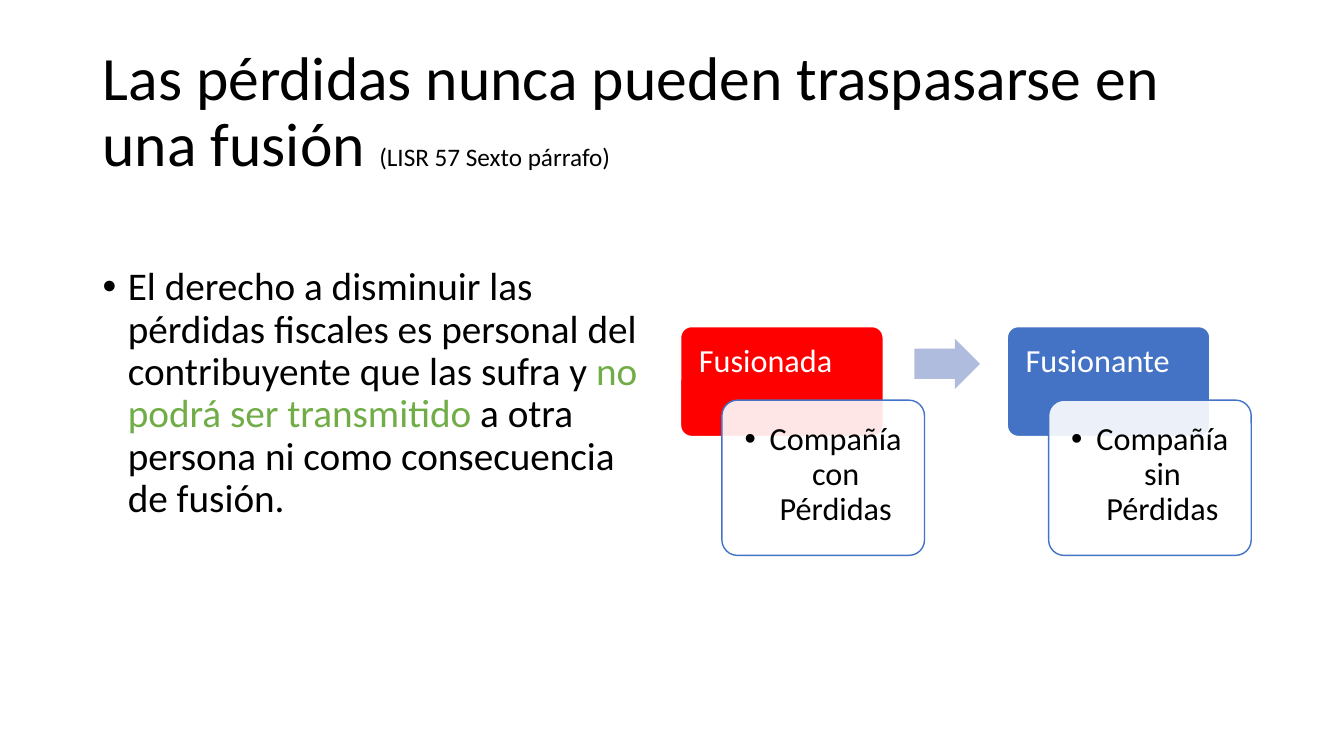
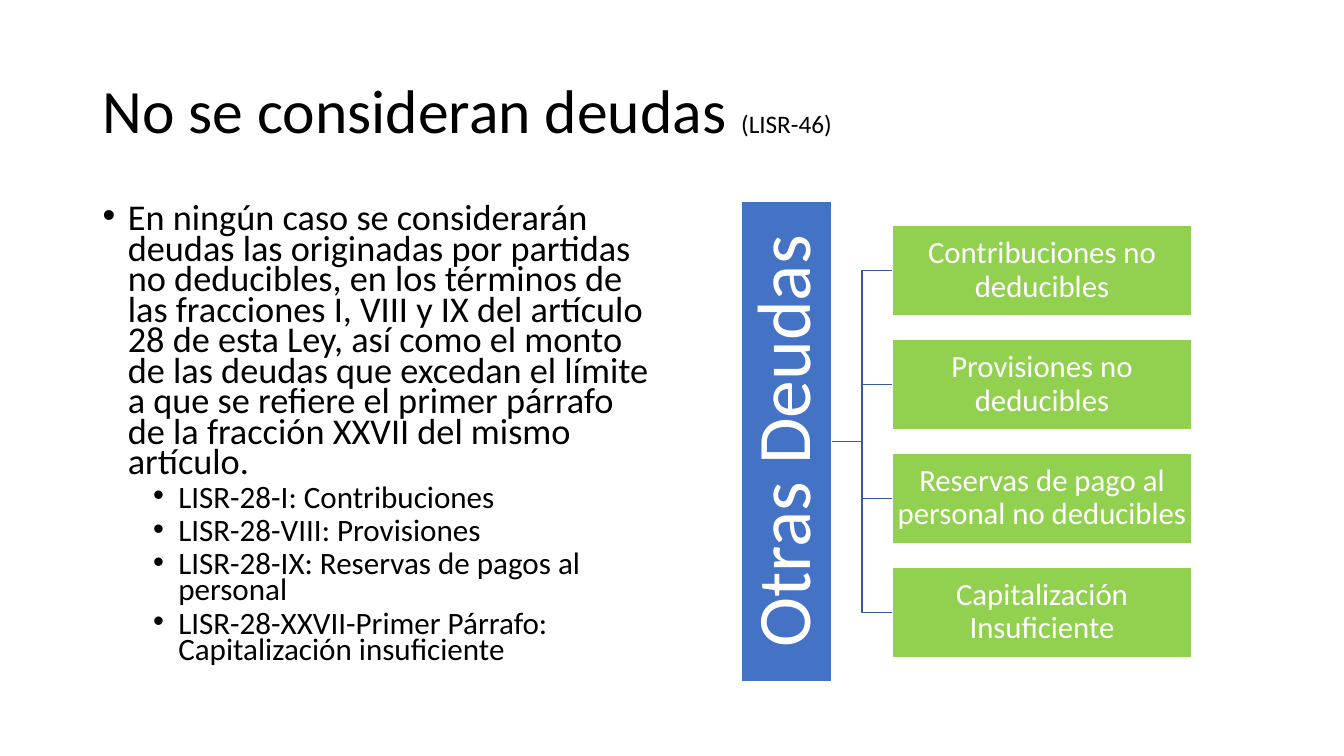
"""Build two slides on tax losses in mergers and on items not considered debts."""
from lxml.etree import SubElement
from pptx import Presentation
from pptx.dml.color import RGBColor
from pptx.enum.shapes import MSO_CONNECTOR as Connector, MSO_SHAPE as Shape
from pptx.enum.text import MSO_ANCHOR as Anchor, PP_ALIGN as Align
from pptx.oxml.ns import qn
from pptx.util import Inches, Pt

BLACK = RGBColor(0x00, 0x00, 0x00)
WHITE = RGBColor(0xFF, 0xFF, 0xFF)
RED = RGBColor(0xFF, 0x00, 0x00)
BLUE = RGBColor(0x44, 0x72, 0xC4)
PALE_BLUE = RGBColor(0xB0, 0xBC, 0xDE)
LINE_BLUE = RGBColor(0x36, 0x5B, 0x9D)
GREEN = RGBColor(0x70, 0xAD, 0x47)
LIME = RGBColor(0x92, 0xD0, 0x50)

FONT = "Calibri"
WIDTH, HEIGHT = 13.33, 7.5
MARGIN = 0.92
BODY_TOP, BODY_WIDTH, BODY_HEIGHT = 2, 5.67, 4.76

MERGER_TITLE = ("Las pérdidas nunca pueden traspasarse en una fusión ", "(LISR 57 Sexto párrafo)")
MERGER_BODY = [
    ("El derecho a disminuir las pérdidas fiscales es personal del contribuyente que las sufra y ", BLACK),
    ("no podrá ser transmitido ", GREEN),
    ("a otra persona ni como consecuencia de fusión.", BLACK),
]
COMPANIES = [
    ("Fusionada", "Compañía con Pérdidas", RED),
    ("Fusionante", "Compañía sin Pérdidas", BLUE),
]

DEBT_TITLE = ("No se consideran deudas ", "(LISR-46)")
DEBT_BODY = (
    "En ningún caso se considerarán deudas las originadas por partidas no deducibles, "
    "en los términos de las fracciones I, VIII y IX del artículo 28 de esta Ley, así como "
    "el monto de las deudas que excedan el límite a que se refiere el primer párrafo de la "
    "fracción XXVII del mismo artículo."
)
DEBT_ARTICLES = [
    "LISR-28-I: Contribuciones",
    "LISR-28-VIII: Provisiones",
    "LISR-28-IX: Reservas de pagos al personal",
    "LISR-28-XXVII-Primer Párrafo: Capitalización insuficiente",
]
DEBT_ROOT = "Otras Deudas"
DEBT_KINDS = [
    "Contribuciones no deducibles",
    "Provisiones no deducibles",
    "Reservas de pago al personal no deducibles",
    "Capitalización Insuficiente",
]


def write(shape, text, size=18, color=BLACK, align=Align.LEFT, spacing=0.9, before=0, bullet_indent=None):
    """Add a paragraph of text, or of (text, size, color) runs, to a shape."""
    frame = shape.text_frame
    paragraph = frame.paragraphs[0]
    if paragraph.runs:
        paragraph = frame.add_paragraph()
    if bullet_indent is not None:
        properties = paragraph._p.get_or_add_pPr()
        properties.set("marL", str(Inches(bullet_indent)))
        properties.set("indent", str(Inches(-0.25)))
        SubElement(properties, qn("a:buFont")).set("typeface", "Arial")
        SubElement(properties, qn("a:buChar")).set("char", "•")
    paragraph.alignment = align
    paragraph.line_spacing = spacing
    paragraph.space_before = Pt(before)
    runs = [(text, size, color)] if isinstance(text, str) else text
    for run_text, run_size, run_color in runs:
        run = paragraph.add_run()
        run.text = run_text
        run.font.name = FONT
        run.font.size = Pt(run_size)
        run.font.color.rgb = run_color


def set_frame(shape, anchor=Anchor.TOP, inset=(0.1, 0.05)):
    frame = shape.text_frame
    frame.word_wrap = True
    frame.vertical_anchor = anchor
    frame.margin_left = frame.margin_right = Inches(inset[0])
    frame.margin_top = frame.margin_bottom = Inches(inset[1])


def add_box(slide, left, top, width, height, **frame_format):
    box = slide.shapes.add_textbox(*map(Inches, (left, top, width, height)))
    set_frame(box, **frame_format)
    return box


def add_block(slide, kind, left, top, width, height, fill, line=WHITE, adjustments=(), **frame_format):
    block = slide.shapes.add_shape(kind, *map(Inches, (left, top, width, height)))
    block.shadow.inherit = False
    block.fill.solid()
    block.fill.fore_color.rgb = fill
    if line is None:
        block.line.fill.background()
    else:
        block.line.color.rgb = line
        block.line.width = Pt(1)
    for index, value in enumerate(adjustments):
        block.adjustments[index] = value
    set_frame(block, **frame_format)
    return block


def add_slide(presentation, title):
    slide = presentation.slides.add_slide(presentation.slide_layouts[6])
    box = add_box(slide, MARGIN, 0.4, 11.5, 1.45, anchor=Anchor.MIDDLE)
    heading, reference = title
    write(box, [(heading, 44, BLACK), (reference, 18, BLACK)])
    return slide


def add_merger_slide(presentation):
    slide = add_slide(presentation, MERGER_TITLE)
    offset = 0.6
    body = add_box(slide, MARGIN, BODY_TOP + offset, BODY_WIDTH, BODY_HEIGHT - offset)
    write(body, [(text, 28, color) for text, color in MERGER_BODY], bullet_indent=0.25)

    left, top, step, width = 6.75, 3.24, 3.24, 2.01
    for index, (role, description, color) in enumerate(COMPANIES):
        x = left + index * step
        header = add_block(slide, Shape.ROUNDED_RECTANGLE, x, top, width, 1.09, color,
                           adjustments=[0.1], inset=(0.15, 0.15))
        write(header, role, size=23, color=WHITE)
        card = add_block(slide, Shape.ROUNDED_RECTANGLE, x + 0.41, top + 0.73, width, 1.54, WHITE,
                         line=BLUE, adjustments=[0.1], inset=(0.12, 0.18))
        fill_color = card._element.spPr.find(qn("a:solidFill"))[0]
        SubElement(fill_color, qn("a:alpha")).set("val", "90000")
        write(card, description, size=23, align=Align.CENTER, bullet_indent=0.25)
    add_block(slide, Shape.RIGHT_ARROW, left + width + 0.31, top + 0.12, 0.65, 0.5, PALE_BLUE,
              line=None, adjustments=[0.6, 0.5])


def add_debt_slide(presentation):
    slide = add_slide(presentation, DEBT_TITLE)
    body = add_box(slide, MARGIN, BODY_TOP, BODY_WIDTH, BODY_HEIGHT)
    write(body, DEBT_BODY, size=25.9, spacing=0.7, bullet_indent=0.25)
    for article in DEBT_ARTICLES:
        write(body, article, size=22.2, spacing=0.7, before=5, bullet_indent=0.75)

    thickness, gap, column_gap = 0.9, 0.23, 0.6
    root_left = 7.35
    root = add_block(slide, Shape.RECTANGLE, root_left, BODY_TOP, thickness, BODY_HEIGHT, BLUE,
                     anchor=Anchor.MIDDLE, inset=(0.04, 0.04))
    root.text_frame._txBody.bodyPr.set("vert", "vert270")
    write(root, DEBT_ROOT, size=54, color=WHITE, align=Align.CENTER)

    stack = len(DEBT_KINDS) * (thickness + gap) - gap
    first_top = BODY_TOP + (BODY_HEIGHT - stack) / 2
    for index, kind in enumerate(DEBT_KINDS):
        leaf = add_block(slide, Shape.RECTANGLE, root_left + thickness + column_gap,
                         first_top + index * (thickness + gap), 2.97, thickness, LIME,
                         anchor=Anchor.MIDDLE, inset=(0.02, 0.02))
        write(leaf, kind, size=22, color=WHITE, align=Align.CENTER)
        branch = slide.shapes.add_connector(Connector.ELBOW, 0, 0, 0, 0)
        branch.begin_connect(root, 3)
        branch.end_connect(leaf, 1)
        branch.line.color.rgb = LINE_BLUE
        branch.line.width = Pt(1)
        SubElement(branch._element.spPr, qn("a:effectLst"))


def main():
    presentation = Presentation()
    presentation.slide_width, presentation.slide_height = Inches(WIDTH), Inches(HEIGHT)
    add_merger_slide(presentation)
    add_debt_slide(presentation)
    presentation.save("out.pptx")


if __name__ == "__main__":
    main()
